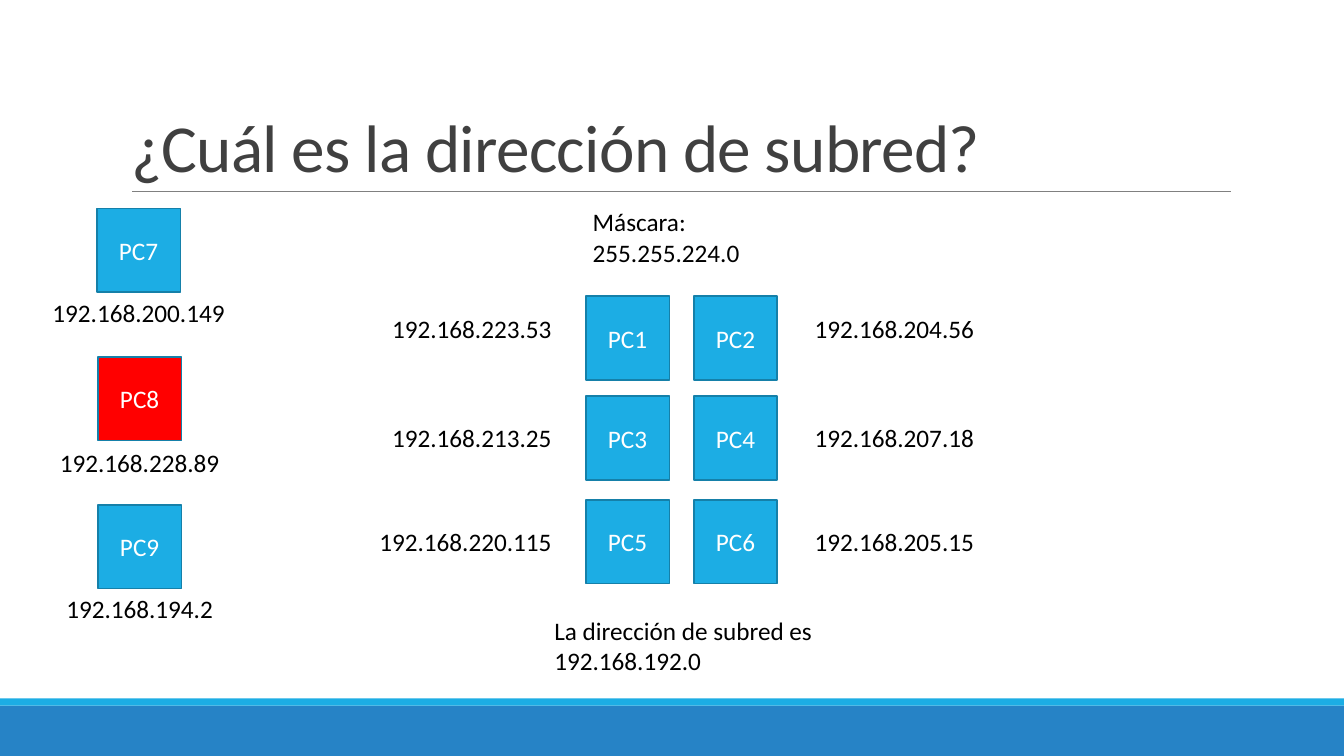
import pptx
import pptx.util
import pptx.dml.color
import pptx.enum.shapes
import pptx.enum.text
import pptx.oxml.ns
from lxml import etree

Inches = pptx.util.Inches
Align = pptx.enum.text.PP_ALIGN
Anchor = pptx.enum.text.MSO_ANCHOR

COLORS = {
    "blue": "1CADE4", "dark_blue": "2683C6", "outline": "1580A9", "red": "FF0000",
    "title": "404040", "rule": "808080", "black": "000000", "white": "FFFFFF",
}
PC_SIZE = 0.83
LABEL_WIDTH = 2.42
LABEL_HEIGHT = 0.41


def rgb(name):
    return pptx.dml.color.RGBColor.from_string(COLORS[name])


def style_paragraph(para, color, align=Align.LEFT, size=18):
    para.alignment = align
    para.font.name = "Calibri"
    para.font.size = pptx.util.Pt(size)
    para.font.color.rgb = rgb(color)


def add_rectangle(page, left, top, width, height, fill):
    box = page.shapes.add_shape(
        pptx.enum.shapes.MSO_SHAPE.RECTANGLE,
        Inches(left), Inches(top), Inches(width), Inches(height))
    box.shadow.inherit = False
    box.fill.solid()
    box.fill.fore_color.rgb = rgb(fill)
    box.line.fill.background()
    return box


def add_computer(page, name, left, top, fill="blue"):
    box = add_rectangle(page, left, top, PC_SIZE, PC_SIZE, fill)
    box.line.color.rgb = rgb("outline")
    box.line.width = pptx.util.Pt(1.25)
    box.text_frame.text = name
    box.text_frame.vertical_anchor = Anchor.MIDDLE
    style_paragraph(box.text_frame.paragraphs[0], "white", Align.CENTER)


def add_label(page, text, left, top, align=Align.LEFT,
              width=LABEL_WIDTH, height=LABEL_HEIGHT):
    box = page.shapes.add_textbox(
        Inches(left), Inches(top), Inches(width), Inches(height))
    box.text_frame.word_wrap = True
    box.text_frame.auto_size = pptx.enum.text.MSO_AUTO_SIZE.SHAPE_TO_FIT_TEXT
    box.text_frame.text = text
    for para in box.text_frame.paragraphs:
        style_paragraph(para, "black", align)


def add_rule(page, left, right, top):
    rule = page.shapes.add_connector(
        pptx.enum.shapes.MSO_CONNECTOR.STRAIGHT,
        Inches(left), Inches(top), Inches(right), Inches(top))
    rule.line.color.rgb = rgb("rule")
    rule.line.width = pptx.util.Pt(0.5)
    etree.SubElement(rule._element.spPr, pptx.oxml.ns.qn("a:effectLst"))


def set_title(page, text):
    title = page.shapes.title
    title.left, title.top = Inches(1.2), Inches(0.31)
    title.width, title.height = Inches(11), Inches(1.59)
    frame = title.text_frame
    frame.text = text
    frame.word_wrap = True
    frame.auto_size = pptx.enum.text.MSO_AUTO_SIZE.NONE
    frame.vertical_anchor = Anchor.BOTTOM
    para = frame.paragraphs[0]
    style_paragraph(para, "title", size=48)
    para.line_spacing = 0.85
    para.runs[0].font._element.set("spc", "-50")


def main():
    deck = pptx.Presentation()
    deck.slide_width, deck.slide_height = Inches(13.33), Inches(7.5)
    page = deck.slides.add_slide(deck.slide_layouts[5])

    # Footer bands, title and its rule
    add_rectangle(page, 0, 7, 13.33, 0.5, "dark_blue")
    add_rectangle(page, 0, 6.93, 13.33, 0.07, "blue")
    add_rule(page, 1.31, 12.21, 1.9)
    set_title(page, "¿Cuál es la dirección de subred?")

    # Central pairs of computers, with addresses on the outer sides
    pairs = [
        (2.94, 3.06, "192.168.223.53", "192.168.204.56"),
        (3.93, 4.14, "192.168.213.25", "192.168.207.18"),
        (4.96, 5.17, "192.168.220.115", "192.168.205.15"),
    ]
    for row, (pc_top, label_top, left_address, right_address) in enumerate(pairs):
        add_computer(page, f"PC{2 * row + 1}", 5.81, pc_top)
        add_computer(page, f"PC{2 * row + 2}", 6.88, pc_top)
        add_label(page, left_address, 3.15, label_top, Align.RIGHT)
        add_label(page, right_address, 7.98, label_top)

    # Left column, with addresses below; PC8 is outside the subnet
    column = [
        ("PC7", "192.168.200.149", 0.96, 2.07, 2.9, "blue"),
        ("PC8", "192.168.228.89", 0.97, 3.54, 4.39, "red"),
        ("PC9", "192.168.194.2", 0.97, 5.01, 5.84, "blue"),
    ]
    for name, address, left, pc_top, label_top, fill in column:
        add_computer(page, name, left, pc_top, fill)
        label_left = left + (PC_SIZE - LABEL_WIDTH) / 2
        add_label(page, address, label_left, label_top, Align.CENTER)

    # Mask and answer
    add_label(page, "Máscara: 255.255.224.0", 5.78, 2, height=0.71)
    add_label(page, "La dirección de subred es\n192.168.192.0", 5.4, 6.05,
              width=2.96, height=0.71)

    deck.save("out.pptx")


main()
